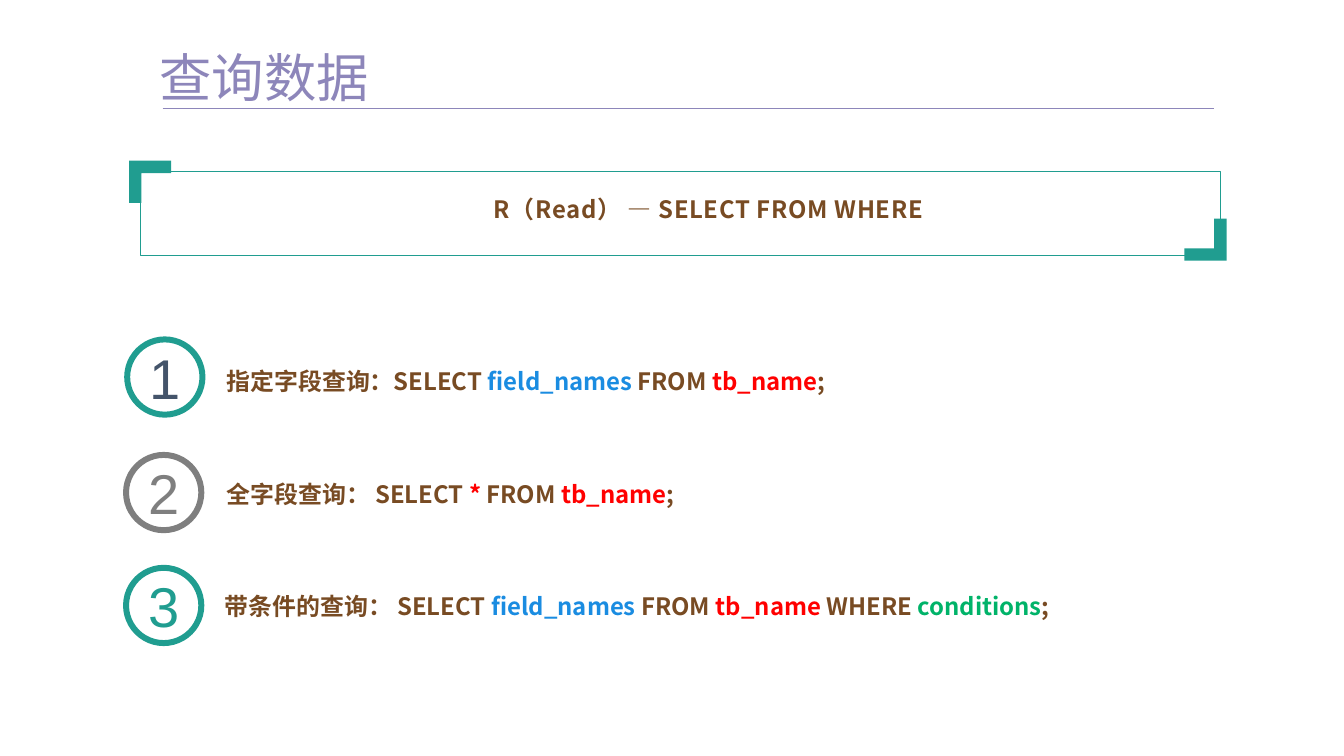
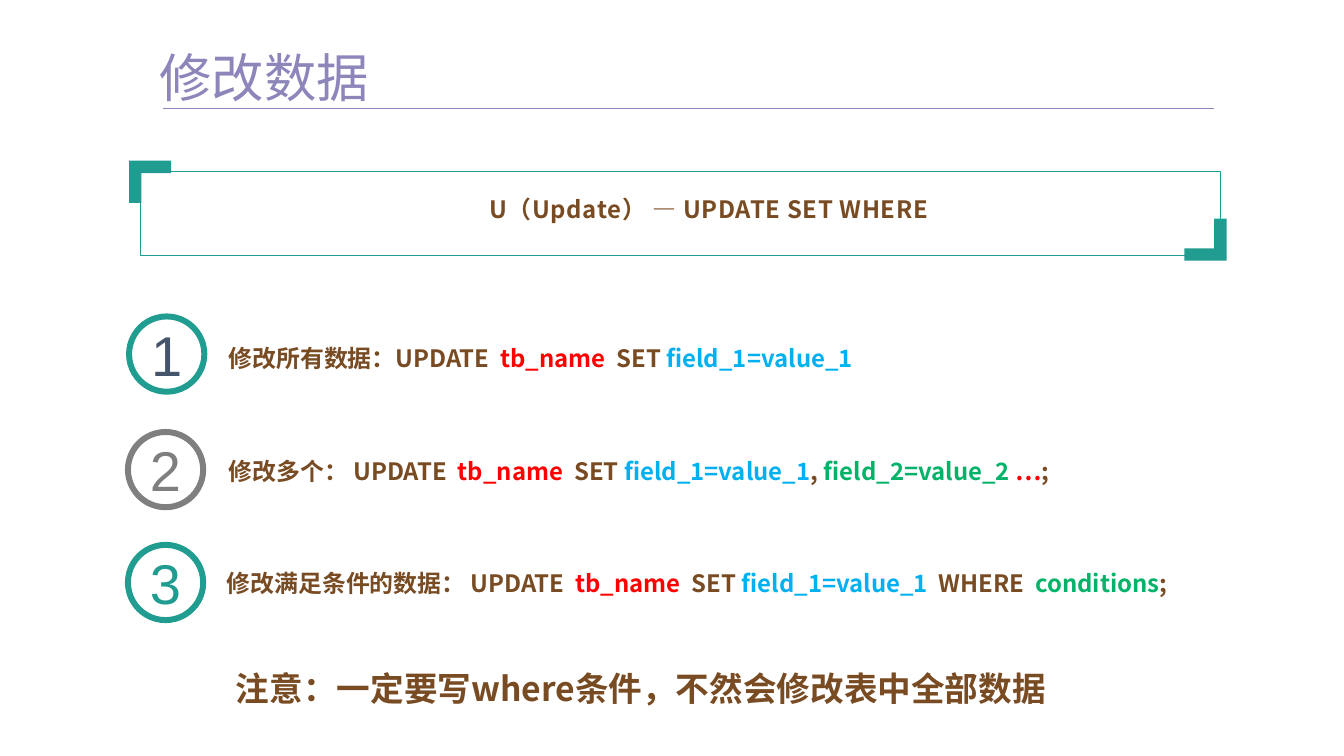
from dataclasses import dataclass
from typing import NamedTuple

from lxml.etree import SubElement
from pptx import Presentation
from pptx.dml.color import RGBColor
from pptx.enum.shapes import MSO_CONNECTOR, MSO_SHAPE
from pptx.enum.text import MSO_ANCHOR, MSO_AUTO_SIZE, PP_ALIGN
from pptx.oxml.ns import qn
from pptx.util import Cm, Pt

CJK = "Noto Sans CJK SC"
LATIN = "Arial"
PURPLE = "8D86BA"
TEAL = "209D90"
GRAY = "7F7F7F"
SLATE = "44546A"
BROWN = "784B23"
RED = "FF0000"
BLUE = "1A8CE1"
SKY = "00B0F0"
GREEN = "00B369"
WHITE = "FFFFFF"

CIRCLE_SIZE = 2
CORNER_ARM = 1.12
CORNER_THICKNESS = 0.33


class Part(NamedTuple):
    text: str
    color: str = BROWN


class Box(NamedTuple):
    left: float
    top: float
    width: float
    height: float


class Row(NamedTuple):
    circle_left: float
    circle_top: float
    ring: str
    digit: str
    text_left: float
    text_top: float


@dataclass(frozen=True)
class Topic:
    title: str
    heading: str
    statements: list[list[Part]]
    dx: float = 0
    dy: float = 0
    note: str = ""


ROWS = [
    Row(3.38, 9.02, TEAL, SLATE, 6.02, 9.96),
    Row(3.35, 12.09, GRAY, GRAY, 6.02, 12.95),
    Row(3.35, 15.09, TEAL, TEAL, 5.97, 15.95),
]

TOPICS = [
    Topic(
        "查询数据",
        "R（Read） — SELECT FROM WHERE",
        [
            [Part("指定字段查询：SELECT "), Part("field_names ", BLUE), Part("FROM "),
             Part("tb_name", RED), Part(";")],
            [Part("全字段查询： SELECT "), Part("*", RED), Part(" FROM "),
             Part("tb_name", RED), Part(";")],
            [Part("带条件的查询： SELECT "), Part("field_names ", BLUE), Part("FROM "),
             Part("tb_name", RED), Part(" WHERE "), Part("conditions", GREEN), Part(";")],
        ],
    ),
    Topic(
        "修改数据",
        "U（Update） — UPDATE SET WHERE",
        [
            [Part("修改所有数据：UPDATE  "), Part("tb_name", RED), Part("  SET "),
             Part("field_1=value_1", SKY)],
            [Part("修改多个： UPDATE  "), Part("tb_name", RED), Part("  SET "),
             Part("field_1=value_1", SKY), Part(", "), Part("field_2=value_2 ", GREEN),
             Part("…", RED), Part(";")],
            [Part("修改满足条件的数据： UPDATE  "), Part("tb_name", RED), Part("  SET "),
             Part("field_1=value_1  ", SKY), Part("WHERE  "), Part("conditions", GREEN),
             Part(";")],
        ],
        dx=0.05,
        dy=-0.61,
        note="注意：一定要写where条件，不然会修改表中全部数据",
    ),
]


def rgb(color: str) -> RGBColor:
    return RGBColor.from_string(color)


def style_run(r, size: float, color: str, font: str = CJK, bold: bool = False) -> None:
    r.font.size = Pt(size)
    r.font.bold = bold
    r.font.color.rgb = rgb(color)
    r.font.name = font
    SubElement(r.font._element, qn("a:ea"), typeface=font)


def clear_insets(tf) -> None:
    tf.margin_left = tf.margin_top = tf.margin_right = tf.margin_bottom = 0


def add_text(slide, box: Box, parts: list[Part], size: float, bold: bool = True,
             insets: bool = False):
    tf = slide.shapes.add_textbox(*map(Cm, box)).text_frame
    tf.word_wrap = True
    tf.auto_size = MSO_AUTO_SIZE.SHAPE_TO_FIT_TEXT
    if not insets:
        clear_insets(tf)
    p = tf.paragraphs[0]
    for part in parts:
        r = p.add_run()
        r.text = part.text
        style_run(r, size, part.color, bold=bold)
    return tf


def add_corner(slide, x: float, y: float, direction: int) -> None:
    arm, thick = CORNER_ARM, CORNER_THICKNESS
    outline = [(0, 0), (arm, 0), (arm, thick), (thick, thick), (thick, arm), (0, arm)]
    points = [(Cm(x + direction * u), Cm(y + direction * v)) for u, v in outline]
    builder = slide.shapes.build_freeform(*points[0])
    builder.add_line_segments(points[1:])
    sp = builder.convert_to_shape()
    sp.shadow.inherit = False
    sp.fill.solid()
    sp.fill.fore_color.rgb = rgb(TEAL)
    sp.line.fill.background()


def add_title(slide, title: str) -> None:
    add_text(slide, Box(4.24, 1.19, 8.23, 1.68), [Part(title, PURPLE)], 39.4, bold=False)
    rule = slide.shapes.add_connector(
        MSO_CONNECTOR.STRAIGHT, Cm(4.32), Cm(2.87), Cm(32.26), Cm(2.87))
    rule.line.color.rgb = rgb(PURPLE)
    rule.line.width = Pt(0.5)
    SubElement(rule._element.spPr, qn("a:effectLst"))


def add_heading(slide, heading: str) -> None:
    frame = slide.shapes.add_shape(
        MSO_SHAPE.RECTANGLE, Cm(3.73), Cm(4.55), Cm(28.7), Cm(2.24))
    frame.shadow.inherit = False
    frame.fill.background()
    frame.line.color.rgb = rgb(TEAL)
    frame.line.width = Pt(0.25)
    add_corner(slide, 3.43, 4.27, 1)
    add_corner(slide, 32.59, 6.93, -1)
    tf = add_text(slide, Box(11.83, 5.16, 14, 0.76), [Part(heading)], 18)
    p = tf.paragraphs[0]
    p.alignment = PP_ALIGN.CENTER
    p.runs[0].font._element.set("spc", "50")


def add_circle(slide, left: float, top: float, number: int, row: Row) -> None:
    sp = slide.shapes.add_shape(
        MSO_SHAPE.OVAL, Cm(left), Cm(top), Cm(CIRCLE_SIZE), Cm(CIRCLE_SIZE))
    sp.shadow.inherit = False
    sp.fill.solid()
    sp.fill.fore_color.rgb = rgb(WHITE)
    sp.line.color.rgb = rgb(row.ring)
    sp.line.width = Pt(4.5)
    tf = sp.text_frame
    clear_insets(tf)
    tf.vertical_anchor = MSO_ANCHOR.MIDDLE
    tf.text = str(number)
    p = tf.paragraphs[0]
    p.alignment = PP_ALIGN.CENTER
    style_run(p.runs[0], 42.2, row.digit, LATIN)


def add_statement(slide, left: float, top: float, parts: list[Part]) -> None:
    tf = add_text(slide, Box(left, top, 27.8, 0.56), parts, 18)
    tf.vertical_anchor = MSO_ANCHOR.MIDDLE
    tf.paragraphs[0].line_spacing = Pt(15)


def add_topic(prs, topic: Topic) -> None:
    slide = prs.slides.add_slide(prs.slide_layouts[6])
    add_title(slide, topic.title)
    add_heading(slide, topic.heading)
    for number, (row, parts) in enumerate(zip(ROWS, topic.statements), 1):
        add_circle(slide, row.circle_left + topic.dx, row.circle_top + topic.dy, number, row)
        add_statement(slide, row.text_left + topic.dx, row.text_top + topic.dy, parts)
    if topic.note:
        add_text(slide, Box(6.02, 17.63, 24.87, 1.35), [Part(topic.note)], 25.3, insets=True)


def main() -> None:
    prs = Presentation()
    prs.slide_width = Cm(35.71)
    prs.slide_height = Cm(20.09)
    for topic in TOPICS:
        add_topic(prs, topic)
    prs.save("out.pptx")


if __name__ == "__main__":
    main()
